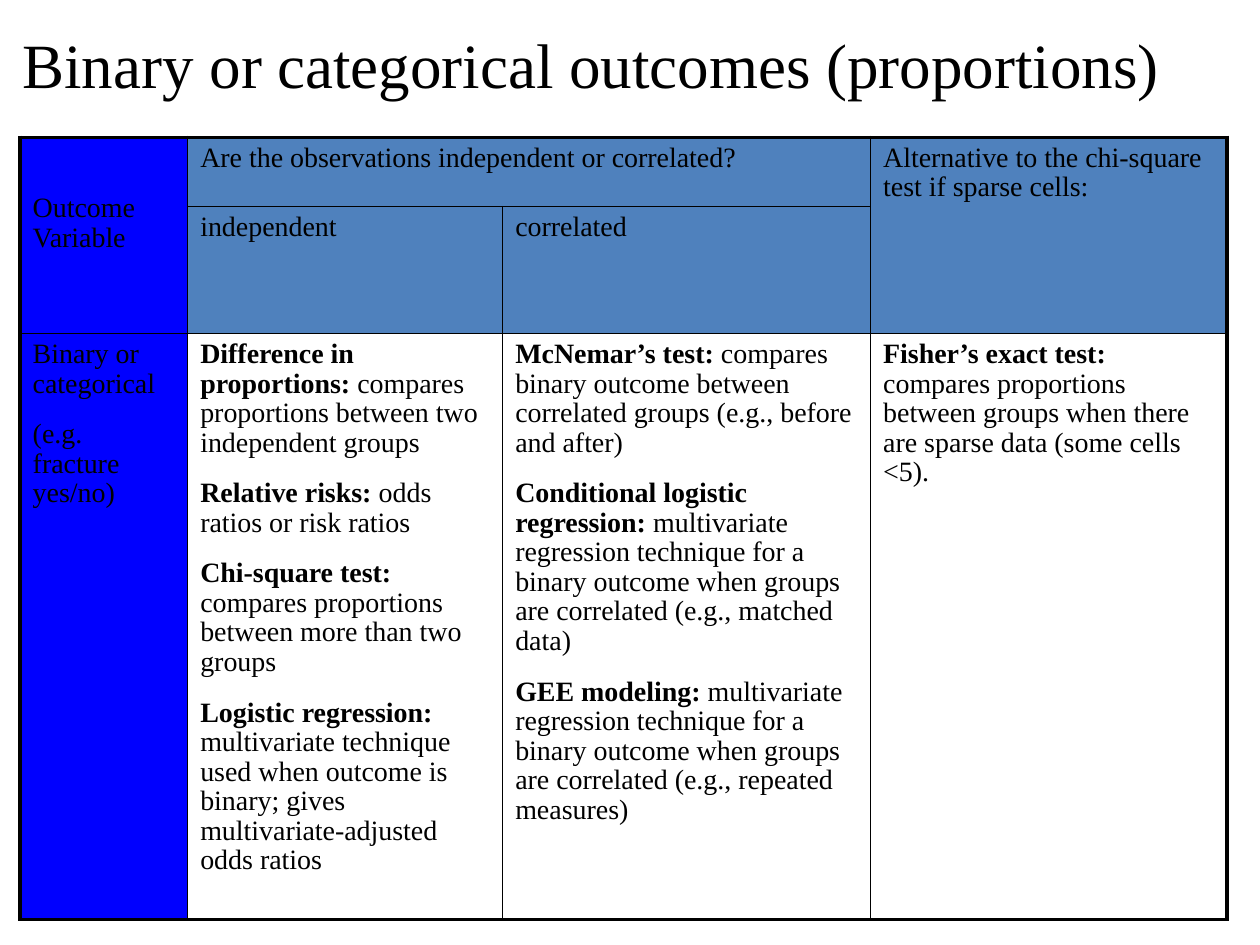
from dataclasses import dataclass

from lxml import etree
from pptx import Presentation
from pptx import util as u
from pptx.dml.color import RGBColor
from pptx.enum import text
from pptx.oxml import ns
from pptx.table import Table, _Cell
from pptx.text.text import _Paragraph


@dataclass(frozen=True)
class Theme:
    font: str = "Times New Roman"
    ink: str = "000000"
    outcome_fill: str = "0000FF"
    header_fill: str = "4F81BD"
    title_size: float = 36
    body_size: float = 16
    line_spacing: float = 0.95
    paragraph_gap: float = 12
    inner_border: float = 1
    outer_border: float = 2.25


@dataclass(frozen=True)
class Entry:
    description: str
    test: str = ""


@dataclass(frozen=True)
class Region:
    row: int
    column: int
    entries: tuple[Entry, ...]
    fill: str | None = None
    row_span: int = 1
    column_span: int = 1
    margin_top: float = 0.05


THEME = Theme()
COLUMN_WIDTHS = (1.33, 2.5, 2.92, 2.83)
ROW_HEIGHTS = (0.55, 0.98, 4.36)

REGIONS = (
    Region(0, 0, (Entry("Outcome Variable"),), THEME.outcome_fill,
           row_span=2, margin_top=0.45),
    Region(0, 1, (Entry("Are the observations independent or correlated?"),),
           THEME.header_fill, column_span=2),
    Region(0, 3, (Entry("Alternative to the chi-square test if sparse cells:"),),
           THEME.header_fill, row_span=2),
    Region(1, 1, (Entry("independent"),), THEME.header_fill),
    Region(1, 2, (Entry("correlated"),), THEME.header_fill),
    Region(2, 0, (Entry("Binary or categorical"), Entry("(e.g. fracture yes/no)")),
           THEME.outcome_fill),
    Region(2, 1, (
        Entry(" compares proportions between two independent groups",
              "Difference in proportions:"),
        Entry(" odds ratios or risk ratios", "Relative risks:"),
        Entry(" compares proportions between more than two groups",
              "Chi-square test:"),
        Entry(" multivariate technique used when outcome is binary; "
              "gives multivariate-adjusted odds ratios", "Logistic regression:"),
    )),
    Region(2, 2, (
        Entry(" compares binary outcome between correlated groups "
              "(e.g., before and after)", "McNemar’s test:"),
        Entry(" multivariate regression technique for a binary outcome when "
              "groups are correlated (e.g., matched data)",
              "Conditional logistic regression:"),
        Entry(" multivariate regression technique for a binary outcome when "
              "groups are correlated (e.g., repeated measures)", "GEE modeling:"),
    )),
    Region(2, 3, (
        Entry(" compares proportions between groups when there are sparse data "
              "(some cells <5).", "Fisher’s exact test:"),
    )),
)


def style_paragraph(paragraph: _Paragraph, size: float) -> None:
    paragraph.font.name = THEME.font
    paragraph.font.size = u.Pt(size)
    paragraph.font.color.rgb = RGBColor.from_string(THEME.ink)


def add_title(slide, title: str) -> None:
    box = slide.shapes.add_textbox(
        u.Inches(0.08), u.Inches(0.23), u.Inches(9.38), u.Inches(0.55))
    frame = box.text_frame
    frame.word_wrap = True
    frame.vertical_anchor = text.MSO_ANCHOR.MIDDLE
    paragraph = frame.paragraphs[0]
    paragraph.text = title
    style_paragraph(paragraph, THEME.title_size)


def add_border(cell: _Cell, side: str, width: float) -> None:
    properties = cell._tc.get_or_add_tcPr()
    line = etree.SubElement(properties, ns.qn(f"a:ln{side}"), w=str(u.Pt(width)))
    fill = etree.SubElement(line, ns.qn("a:solidFill"))
    etree.SubElement(fill, ns.qn("a:srgbClr"), val=THEME.ink)


def draw_borders(table: Table, region: Region) -> None:
    last_row = region.row + region.row_span - 1
    last_column = region.column + region.column_span - 1
    for row in range(region.row, last_row + 1):
        for column in range(region.column, last_column + 1):
            sides = (
                ("L", column == region.column, column == 0),
                ("R", column == last_column, column == len(COLUMN_WIDTHS) - 1),
                ("T", row == region.row, row == 0),
                ("B", row == last_row, row == len(ROW_HEIGHTS) - 1),
            )
            for side, on_edge, outer in sides:
                if on_edge:
                    width = THEME.outer_border if outer else THEME.inner_border
                    add_border(table.cell(row, column), side, width)


def write_entry(paragraph: _Paragraph, entry: Entry) -> None:
    style_paragraph(paragraph, THEME.body_size)
    paragraph.line_spacing = THEME.line_spacing
    paragraph.space_before = u.Pt(THEME.paragraph_gap)
    if entry.test:
        run = paragraph.add_run()
        run.text = entry.test
        run.font.bold = True
    run = paragraph.add_run()
    run.text = entry.description
    run.font.bold = False


def fill_region(table: Table, region: Region) -> None:
    cell = table.cell(region.row, region.column)
    if region.row_span * region.column_span > 1:
        cell.merge(table.cell(region.row + region.row_span - 1,
                              region.column + region.column_span - 1))
    draw_borders(table, region)
    cell.margin_top = u.Inches(region.margin_top)
    if region.fill:
        cell.fill.solid()
        cell.fill.fore_color.rgb = RGBColor.from_string(region.fill)
    else:
        cell.fill.background()
    frame = cell.text_frame
    for index, entry in enumerate(region.entries):
        paragraph = frame.add_paragraph() if index else frame.paragraphs[0]
        write_entry(paragraph, entry)


def add_outcome_table(slide) -> None:
    table = slide.shapes.add_table(
        len(ROW_HEIGHTS), len(COLUMN_WIDTHS), u.Inches(0.16), u.Inches(1.09),
        u.Inches(sum(COLUMN_WIDTHS)), u.Inches(sum(ROW_HEIGHTS))).table
    table.first_row = False
    table.horz_banding = False
    for column, width in zip(table.columns, COLUMN_WIDTHS):
        column.width = u.Inches(width)
    for row, height in zip(table.rows, ROW_HEIGHTS):
        row.height = u.Inches(height)
    for region in REGIONS:
        fill_region(table, region)


def main() -> None:
    presentation = Presentation()
    presentation.slide_width = u.Inches(10)
    presentation.slide_height = u.Inches(7.5)
    slide = presentation.slides.add_slide(presentation.slide_layouts[6])
    add_title(slide, "Binary or categorical outcomes (proportions)")
    add_outcome_table(slide)
    presentation.save("out.pptx")


if __name__ == "__main__":
    main()
